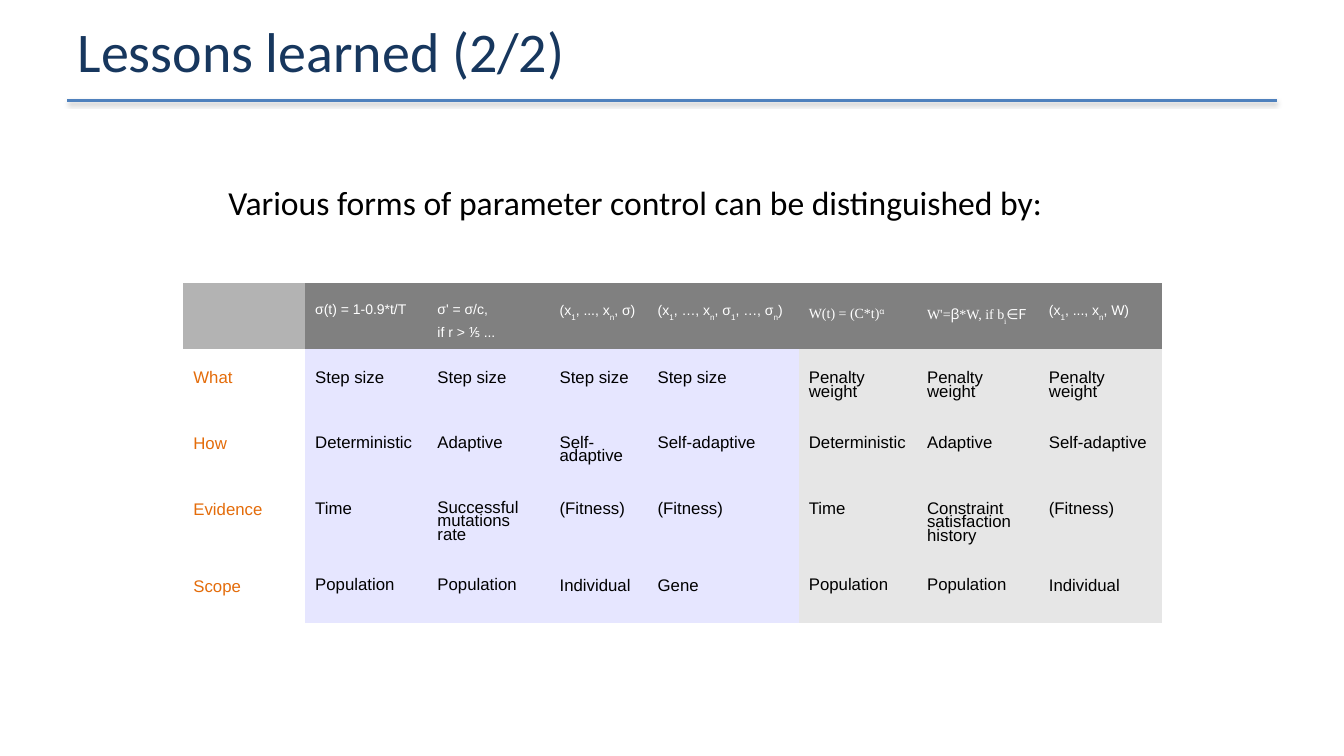
from lxml.etree import SubElement as Sub
from pptx import Presentation
from pptx.dml.color import RGBColor as RGB
from pptx.enum.shapes import MSO_CONNECTOR as Conn
from pptx.enum.text import MSO_ANCHOR as Anchor, PP_ALIGN as Align
from pptx.oxml.ns import qn
from pptx.util import Cm, Pt

NAVY = RGB(0x17, 0x37, 0x5E)
BLUE = RGB(0x4F, 0x81, 0xBD)
BLACK = RGB(0, 0, 0)
WHITE = RGB(0xFF, 0xFF, 0xFF)
ORANGE = RGB(0xE4, 0x6C, 0x0A)
DARK = RGB(0x80, 0x80, 0x80)
MID = RGB(0xB3, 0xB3, 0xB3)
LILAC = RGB(0xE6, 0xE6, 0xFF)
PALE = RGB(0xE6, 0xE6, 0xE6)

ARIAL, TIMES, NOTO = "Arial", "Times New Roman", "Noto Sans"
LOW, HIGH = -33000, 33000
NO_STYLE = "{2D5ABB26-0587-4C30-8999-92F81FD0307C}"


def subs(text):
    """Split text at underscores into runs, every second one lowered."""
    return [(part, ARIAL, LOW if i % 2 else 0)
            for i, part in enumerate(text.split("_"))]


TITLE = "Lessons learned (2/2)"
LEAD = "Various forms of parameter control can be distinguished by:"

# Top margin in cm, line spacing, lines of (text, font, baseline) runs
HEADS = [
    (0.58, 0.71, [subs("σ(t) = 1-0.9*t/T")]),
    (0.58, 0.71, [subs("σ' = σ/c,"),
                  [("if r > ", ARIAL, 0), ("⅕", NOTO, 0), (" ...", ARIAL, 0)]]),
    (0.56, 0.71, [subs("(x_1_, ..., x_n_, σ)")]),
    (0.56, 0.71, [subs("(x_1_, …, x_n_, σ_1_, …, σ_n_)")]),
    (0.64, 0.68, [[("W(t) = (C*t)", TIMES, 0), ("α", NOTO, HIGH)]]),
    (0.64, 0.68, [[("W'=", TIMES, 0), ("β", NOTO, 0), ("*W, if b", TIMES, 0),
                   ("i", TIMES, LOW), ("∈", "Lato", 0), ("F", "Roboto", 0)]]),
    (0.56, 0.71, [subs("(x_1_, ..., x_n_, W)")]),
]

# Label, top margin in cm, cells
ROWS = [
    ("What", 0.61, ["Step size"] * 4 + ["Penalty weight"] * 3),
    ("How", 0.58, ["Deterministic", "Adaptive", "Self-adaptive", "Self-adaptive",
                   "Deterministic", "Adaptive", "Self-adaptive"]),
    ("Evidence", 0.58, ["Time", "Successful mutations rate", "(Fitness)",
                        "(Fitness)", "Time", "Constraint satisfaction history",
                        "(Fitness)"]),
    ("Scope", 0.58, ["Population", "Population", "Individual", "Gene",
                     "Population", "Population", "Individual"]),
]
RAISED = {"Population": 0.56, "Successful mutations rate": 0.56}
WIDTHS = [3.07, 3.08, 3.08, 2.47, 3.81, 2.98, 3.07, 3.1]
HEIGHTS = [1.66, 1.66, 1.66, 1.95, 1.65]
STEPS = 4  # columns about step size, before those about penalty weight


def place(shape, left, top, width, height):
    """Move and size a shape, in cm."""
    shape.left, shape.top = Cm(left), Cm(top)
    shape.width, shape.height = Cm(width), Cm(height)


def add_run(para, text, font, size, color, base=0):
    """Add one formatted run."""
    run = para.add_run()
    run.text = text
    run.font.name, run.font.size = font, Pt(size)
    run.font.color.rgb = color
    if base:
        run._r.get_or_add_rPr().set("baseline", str(base))


def paint(cell, fill):
    """Fill a cell with one colour."""
    cell.fill.solid()
    cell.fill.fore_color.rgb = fill


def fill_cell(cell, fill, top, lines, size, color, pitch=0.71):
    """Fill a cell and write its lines of runs."""
    paint(cell, fill)
    cell.margin_top = Cm(top)
    frame = cell.text_frame
    for i, runs in enumerate(lines):
        para = frame.add_paragraph() if i else frame.paragraphs[0]
        para.line_spacing = pitch
        if i:
            para.space_before = Pt(7)
        for text, font, base in runs:
            add_run(para, text, font, size, color, base)


def add_rule(slide):
    """Draw the shadowed line under the title."""
    rule = slide.shapes.add_connector(
        Conn.STRAIGHT, Cm(1.7), Cm(2.54), Cm(32.18), Cm(2.54))
    rule.line.color.rgb, rule.line.width = BLUE, Pt(2)
    effects = Sub(rule.element.spPr, qn("a:effectLst"))
    shade = Sub(effects, qn("a:outerShdw"), blurRad=str(Pt(3.1)),
                dist=str(Pt(1.6)), dir="5400000", rotWithShape="0")
    tone = Sub(shade, qn("a:srgbClr"), val="000000")
    Sub(tone, qn("a:alpha"), val="38000")


def add_grid(slide):
    """Build the table of parameter control forms."""
    frame = slide.shapes.add_table(
        len(HEIGHTS), len(WIDTHS), Cm(4.62), Cm(7.13),
        Cm(sum(WIDTHS)), Cm(sum(HEIGHTS)))
    for style in frame.element.iter(qn("a:tableStyleId")):
        style.text = NO_STYLE
    grid = frame.table
    grid.first_row = grid.horz_banding = False
    for col, width in zip(grid.columns, WIDTHS):
        col.width = Cm(width)
    for row, height in zip(grid.rows, HEIGHTS):
        row.height = Cm(height)

    paint(grid.cell(0, 0), MID)
    for c, (top, pitch, lines) in enumerate(HEADS, 1):
        fill_cell(grid.cell(0, c), DARK, top, lines, 10, WHITE, pitch)
    for r, (label, top, texts) in enumerate(ROWS, 1):
        fill_cell(grid.cell(r, 0), WHITE, 0.61, [[(label, ARIAL, 0)]], 12, ORANGE)
        for c, text in enumerate(texts, 1):
            fill_cell(grid.cell(r, c), LILAC if c <= STEPS else PALE,
                      RAISED.get(text, top), [[(text, ARIAL, 0)]], 12, BLACK)


deck = Presentation()
deck.slide_width, deck.slide_height = Cm(33.87), Cm(19.05)
slide = deck.slides.add_slide(deck.slide_layouts[1])
add_rule(slide)

title = slide.shapes.title
place(title, 1.7, 0.05, 30.48, 2.41)
head = title.text_frame
head.vertical_anchor = Anchor.MIDDLE
head.margin_top = head.margin_bottom = 0
head.paragraphs[0].alignment = Align.LEFT
add_run(head.paragraphs[0], TITLE, "Calibri", 40, NAVY)

body = slide.placeholders[1]
place(body, 5.5, 4.45, 22.86, 2.26)
lead = body.text_frame.paragraphs[0]
lead.space_before = Pt(6)
props = lead._p.get_or_add_pPr()
props.set("marL", "0")
props.set("indent", "0")
Sub(props, qn("a:buNone"))
add_run(lead, LEAD, "Calibri", 24, BLACK)

add_grid(slide)
deck.save("out.pptx")
